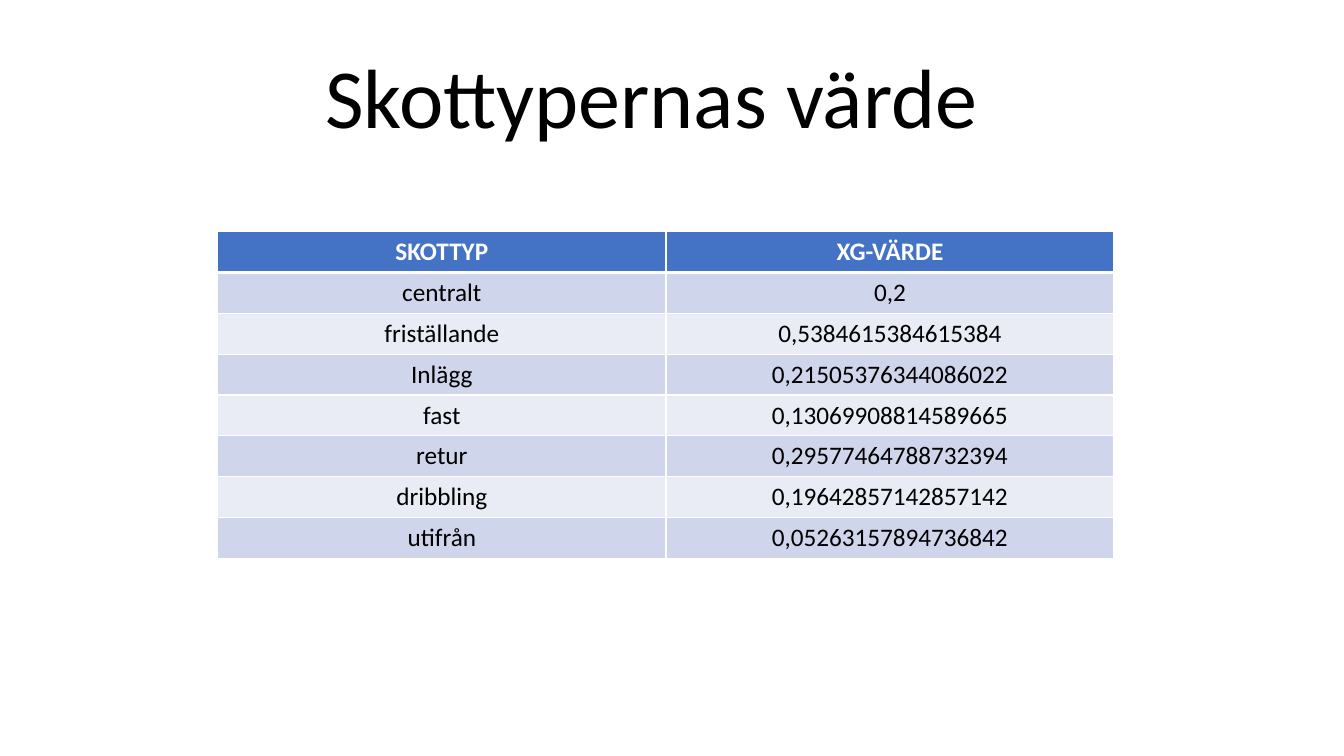
import pptx
import pptx.dml.color
import pptx.enum.text
import pptx.oxml.ns
import pptx.util
from lxml import etree
from pptx.util import Inches

BLACK = pptx.dml.color.RGBColor(0x00, 0x00, 0x00)
WHITE = pptx.dml.color.RGBColor(0xFF, 0xFF, 0xFF)
HEADER_BLUE = pptx.dml.color.RGBColor(0x44, 0x72, 0xC4)
BANDS = [pptx.dml.color.RGBColor(0xE9, 0xEB, 0xF5),
         pptx.dml.color.RGBColor(0xCF, 0xD5, 0xEA)]

ROWS = [
    ("SKOTTYP", "XG-VÄRDE"),
    ("centralt", "0,2"),
    ("friställande", "0,5384615384615384"),
    ("Inlägg", "0,21505376344086022"),
    ("fast", "0,13069908814589665"),
    ("retur", "0,29577464788732394"),
    ("dribbling", "0,19642857142857142"),
    ("utifrån", "0,05263157894736842"),
]


def write_text(tf, text, size=18, color=BLACK, bold=False, line_spacing=None):
    p = tf.paragraphs[0]
    p.alignment = pptx.enum.text.PP_ALIGN.CENTER
    p.line_spacing = line_spacing
    r = p.add_run()
    r.text = text
    r.font.name = "Calibri"
    r.font.size = pptx.util.Pt(size)
    r.font.bold = bold
    r.font.color.rgb = color


def add_border(cell, side, width):
    qn = pptx.oxml.ns.qn
    ln = etree.SubElement(cell._tc.get_or_add_tcPr(), qn(f"a:ln{side}"),
                          w=str(pptx.util.Pt(width)))
    fill = etree.SubElement(ln, qn("a:solidFill"))
    etree.SubElement(fill, qn("a:srgbClr"), val=str(WHITE))


prs = pptx.Presentation()
prs.slide_width, prs.slide_height = Inches(13.33), Inches(7.5)
s = prs.slides.add_slide(prs.slide_layouts[6])

# Title
sp = s.shapes.add_textbox(Inches(1.46), Inches(0.39), Inches(10), Inches(1.11))
tf = sp.text_frame
tf.word_wrap = True
tf.vertical_anchor = pptx.enum.text.MSO_ANCHOR.BOTTOM
write_text(tf, "Skottypernas värde", size=60, line_spacing=0.9)

# Table of shot types and their values
table = s.shapes.add_table(len(ROWS), 2, Inches(2.16), Inches(2.3),
                           Inches(8.89), Inches(3.24)).table
for i, row in enumerate(ROWS):
    header = i == 0
    for j, text in enumerate(row):
        cell = table.cell(i, j)
        # Borders precede the fill in the cell properties
        for side in "LRTB":
            below_header = (i, side) in [(0, "B"), (1, "T")]
            add_border(cell, side, 3 if below_header else 1)
        cell.fill.solid()
        cell.fill.fore_color.rgb = HEADER_BLUE if header else BANDS[i % 2]
        write_text(cell.text_frame, text, bold=header,
                   color=WHITE if header else BLACK)

prs.save("out.pptx")
